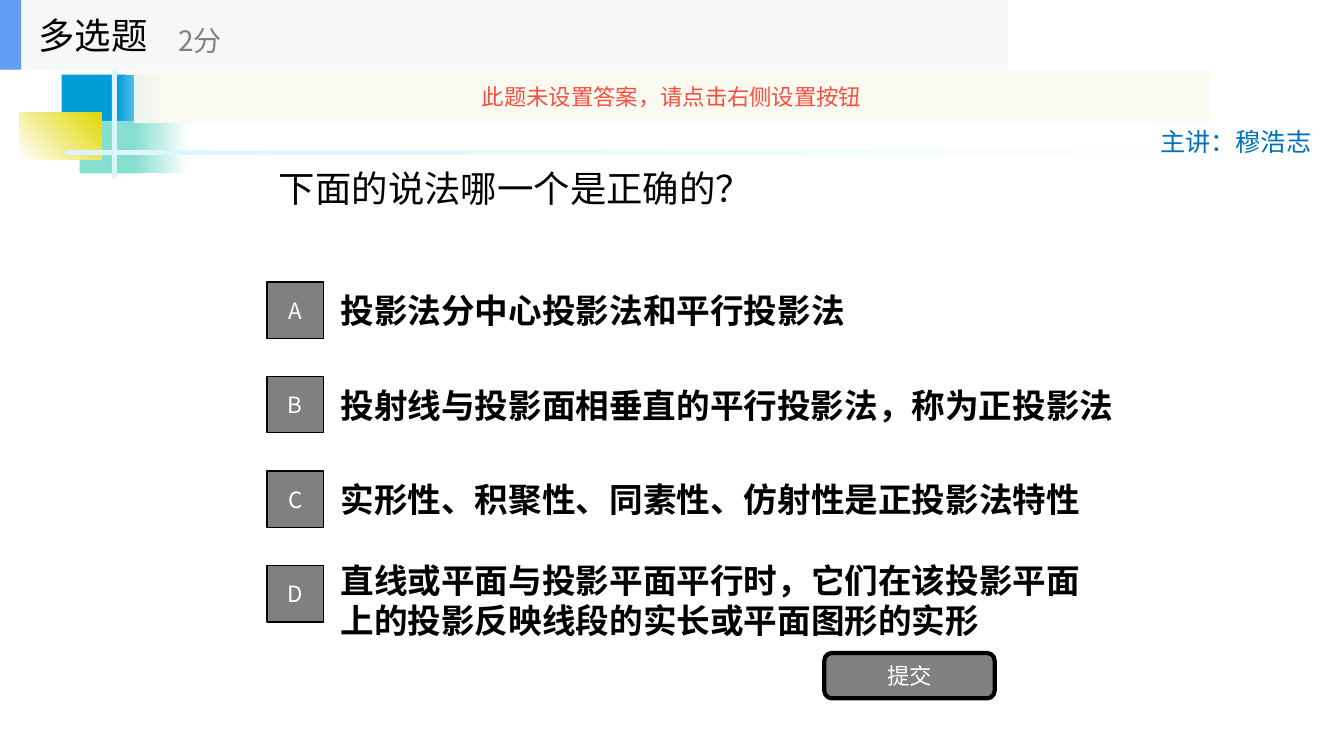
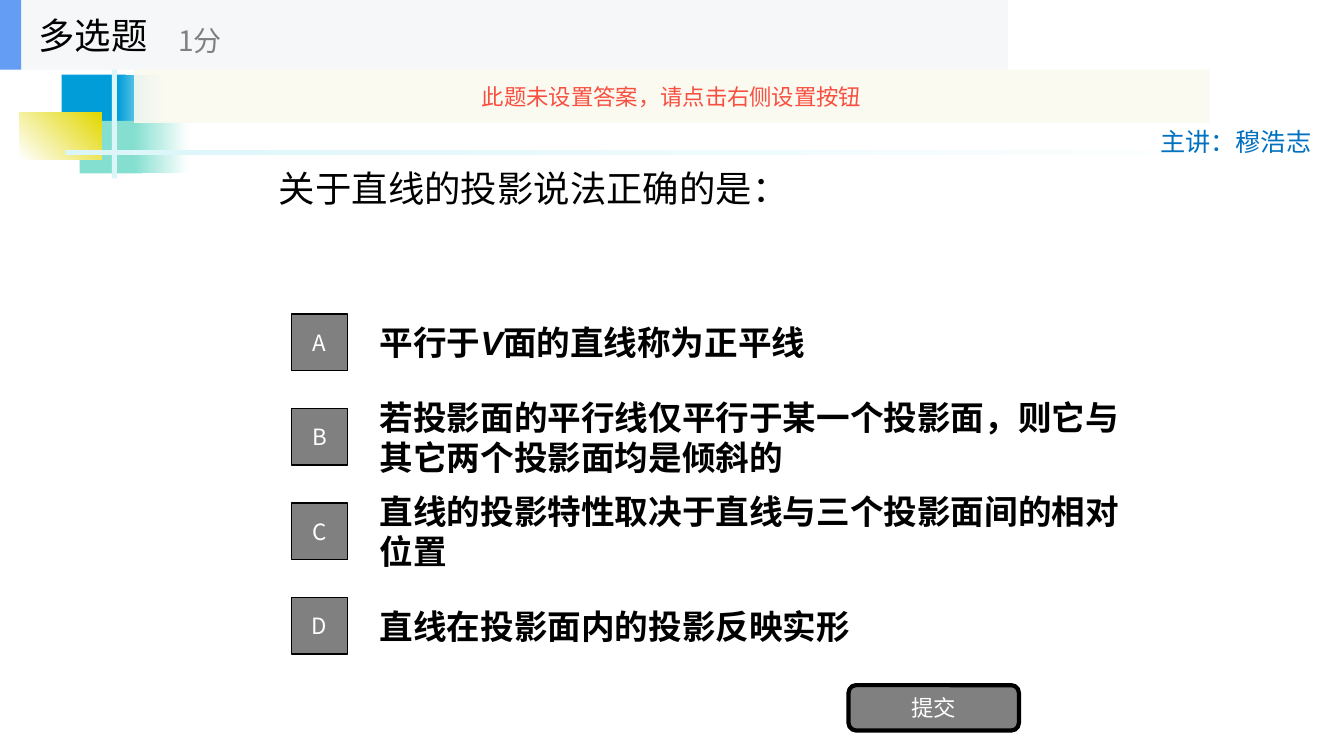
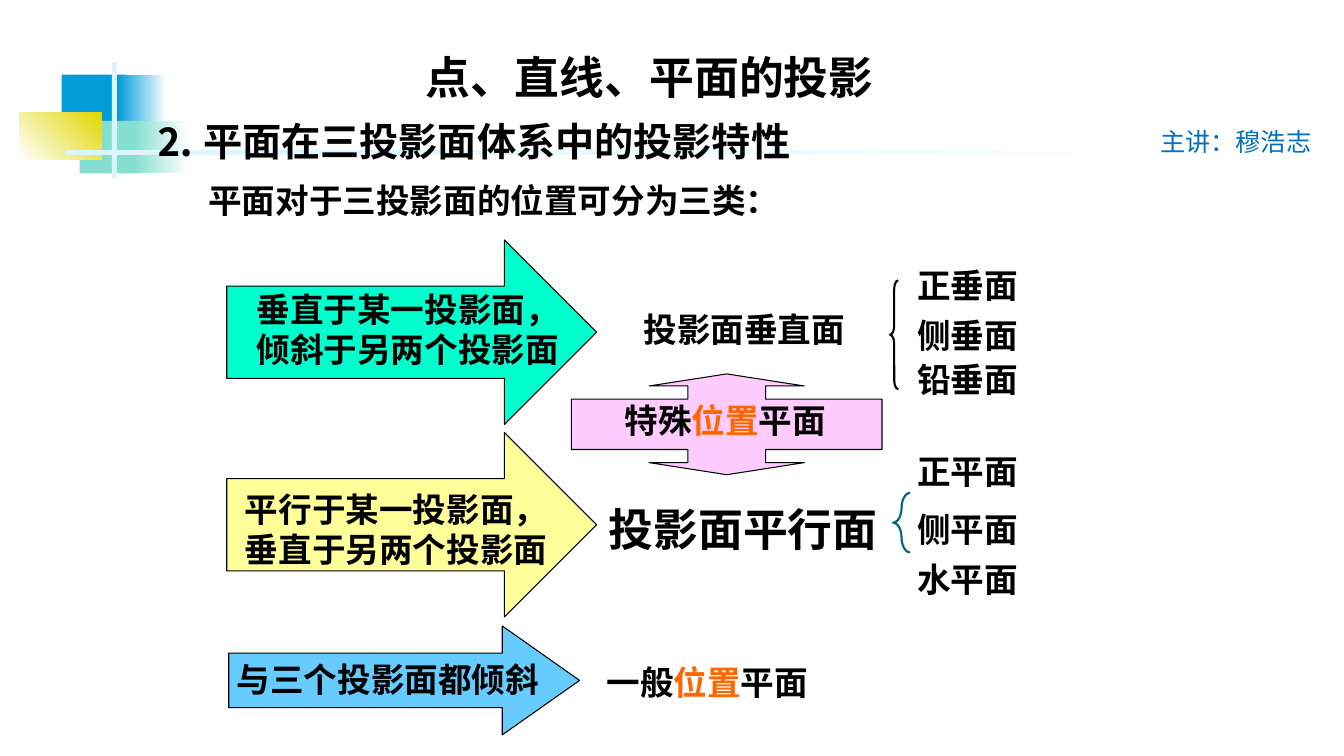
"""Build two quiz slides and one classification slide on plane projection."""
from dataclasses import dataclass
from typing import Any, Optional

import lxml.etree
import pptx
import pptx.dml.color
import pptx.enum.shapes
import pptx.enum.text
import pptx.oxml.ns
import pptx.util

Pt = pptx.util.Pt
Kind = pptx.enum.shapes.MSO_SHAPE
Align = pptx.enum.text.PP_ALIGN
Anchor = pptx.enum.text.MSO_ANCHOR

COLORS = {
    "black": "000000", "white": "FFFFFF", "gray": "808080",
    "blue": "009DD9", "mint": "85DFD0", "gold": "E2D700", "ice": "DBF5F9",
    "lecturer": "0070C0", "header": "F6F7F8", "marker": "639EF4",
    "notice": "FBFAEF", "warning": "F84F41", "accent": "FF6600",
    "sky": "66CCFF", "lemon": "FFFF99", "aqua": "00FFCC", "pink": "FFCCFF",
    "teal": "04617B",
}
SANS, ARIAL, TIMES = "Noto Sans CJK SC", "Arial", "Times New Roman"
OPTION_PITCH = 67.5
OPTION_SIDE = 40.3
OPTION_TEXT_HEIGHT = 50.4


@dataclass(frozen=True)
class Box:
    left: float
    top: float
    width: float
    height: float

    def lengths(self) -> tuple[Any, ...]:
        return Pt(self.left), Pt(self.top), Pt(self.width), Pt(self.height)


@dataclass(frozen=True)
class Style:
    size: float
    font: str = SANS
    color: str = "black"
    bold: bool = False
    italic: bool = False
    align: Any = Align.LEFT


@dataclass(frozen=True)
class Label:
    box: Box
    text: str
    style: Style
    emphasis: str = ""
    emphasis_style: Optional[Style] = None


@dataclass(frozen=True)
class Figure:
    box: Box
    fill: Optional[str] = None
    kind: Any = Kind.RECTANGLE
    line: str = ""
    line_width: float = 0.75
    fade: str = ""
    angle: float = 0
    adjustments: tuple[float, ...] = ()


@dataclass(frozen=True)
class Option:
    text: str
    emphasis: str = ""
    width: float = 550.8
    drop: float = 0
    font: str = ARIAL


@dataclass(frozen=True)
class Quiz:
    score: str
    question: str
    left: float
    top: float
    text_left: float
    options: tuple[Option, ...]


BACKDROP = (
    Figure(Box(44, 53.3, 46, 37.5), "blue"),
    Figure(Box(84.2, 53.3, 34.6, 37.5), "blue", fade="white"),
    Figure(Box(56.9, 86.4, 44.6, 37.5), "mint"),
    Figure(Box(95.8, 86.4, 38.9, 37.5), "mint", fade="white"),
    Figure(Box(13.7, 80.6, 59, 33.1), "white", fade="gold", angle=45),
    Figure(Box(79.9, 44.6, 3.6, 82.8), "ice"),
    Figure(Box(46.8, 107.3, 864, 3.6), "ice", fade="white"),
)
LECTURER = Label(Box(821.5, 86.4, 131, 28.8), "主讲：穆浩志", Style(18, color="lecturer"))

QUIZZES = (
    Quiz("2分", "下面的说法哪一个是正确的？", 190.8, 201.4, 236.2, (
        Option("投影法分中心投影法和平行投影法"),
        Option("投射线与投影面相垂直的平行投影法，称为正投影法", width=576),
        Option("实形性、积聚性、同素性、仿射性是正投影法特性"),
        Option("直线或平面与投影平面平行时，它们在该投影平面上的投影反映线段的实长或平面图形的实形",
               drop=4.5),
    )),
    Quiz("1分", "关于直线的投影说法正确的是：", 208.1, 224.4, 264.2, (
        Option("平行于V面的直线称为正平线", emphasis="V"),
        Option("若投影面的平行线仅平行于某一个投影面，则它与其它两个投影面均是倾斜的"),
        Option("直线的投影特性取决于直线与三个投影面间的相对位置", font=SANS),
        Option("直线在投影面内的投影反映实形"),
    )),
)

BODY = Style(24, TIMES, bold=True)
CENTERED = Style(24, TIMES, bold=True, align=Align.CENTER)
ACCENT = Style(24, TIMES, "accent", bold=True)

CLASS_FIGURES = (
    Figure(Box(163.4, 447.1, 250.6, 77.8), "sky", Kind.RIGHT_ARROW, "black",
           adjustments=(0.5, 0.71)),
    Figure(Box(162, 308.9, 264.2, 131.8), "lemon", Kind.RIGHT_ARROW, "black"),
    Figure(Box(162, 171.4, 264.2, 131.8), "aqua", Kind.RIGHT_ARROW, "black"),
    Figure(Box(408.2, 267.1, 221.8, 72), "pink", Kind.UP_DOWN_ARROW_CALLOUT, "black",
           adjustments=(0.77, 0.77, 0.12, 0.5)),
    Figure(Box(635.8, 200.2, 5.8, 77.8), None, Kind.LEFT_BRACE, "black", 1.5,
           adjustments=(1.08, 0.5)),
    Figure(Box(637.9, 352.1, 12.2, 42.5), None, Kind.LEFT_BRACE, "teal", 1.5,
           adjustments=(1.17, 0.5)),
)
CLASS_LABELS = (
    Label(Box(103.7, 79.9, 483.1, 41), "⒉ 平面在三投影面体系中的投影特性", Style(28, bold=True)),
    Label(Box(141.8, 124.6, 568.8, 36), "平面对于三投影面的位置可分为三类：", Style(24, bold=True)),
    Label(Box(451.4, 217.4, 160.6, 36), "投影面垂直面", CENTERED),
    Label(Box(427.7, 355, 216, 45.4), "投影面平行面", Style(32, TIMES, bold=True)),
    Label(Box(426.2, 469.4, 160.6, 36), "一般位置平面", BODY, "位置", ACCENT),
    Label(Box(437.8, 281.5, 160.6, 36.7), "特殊位置平面", CENTERED, "位置", ACCENT),
    Label(Box(174.2, 202.3, 234, 65.5), "垂直于某一投影面，倾斜于另两个投影面", CENTERED),
    Label(Box(167.8, 344.9, 270, 65.5), "平行于某一投影面，\n垂直于另两个投影面", BODY),
    Label(Box(162, 467.3, 232.6, 36), "与三个投影面都倾斜", BODY),
)
PLANE_NAMES = (
    ("正垂面", 185), ("侧垂面", 221), ("铅垂面", 252.7),
    ("正平面", 318.2), ("侧平面", 359.3), ("水平面", 395.3),
)


def rgb(name: str) -> pptx.dml.color.RGBColor:
    return pptx.dml.color.RGBColor.from_string(COLORS[name])


def format_run(run: Any, style: Style) -> None:
    run.font.size = Pt(style.size)
    run.font.name = style.font
    run.font.bold = style.bold
    run.font.italic = style.italic
    run.font.color.rgb = rgb(style.color)
    east_asian = lxml.etree.SubElement(run._r.get_or_add_rPr(), pptx.oxml.ns.qn("a:ea"))
    east_asian.set("typeface", SANS)


def write(shape: Any, label: Label) -> None:
    frame = shape.text_frame
    frame.word_wrap = True
    frame.auto_size = pptx.enum.text.MSO_AUTO_SIZE.NONE
    frame.vertical_anchor = Anchor.MIDDLE
    frame.text = label.text
    for paragraph in frame.paragraphs:
        paragraph.alignment = label.style.align
        if label.emphasis:
            before, marked, after = paragraph.text.partition(label.emphasis)
            paragraph.text = before
            for piece in (marked, after):
                paragraph.add_run().text = piece
        for run in paragraph.runs:
            marked_run = label.emphasis and run.text == label.emphasis
            format_run(run, label.emphasis_style if marked_run else label.style)


def add_label(slide: Any, label: Label) -> Any:
    textbox = slide.shapes.add_textbox(*label.box.lengths())
    write(textbox, label)
    return textbox


def set_title(slide: Any, label: Label) -> None:
    title = slide.shapes.title
    title.left, title.top, title.width, title.height = label.box.lengths()
    write(title, label)


def add_figure(slide: Any, figure: Figure) -> Any:
    shape = slide.shapes.add_shape(figure.kind, *figure.box.lengths())
    shape.shadow.inherit = False
    for index, value in enumerate(figure.adjustments):
        shape.adjustments[index] = value
    if figure.fill is None:
        shape.fill.background()
    elif figure.fade:
        shape.fill.gradient()
        shape.fill.gradient_angle = figure.angle
        for stop, name in zip(shape.fill.gradient_stops, (figure.fill, figure.fade)):
            stop.color.rgb = rgb(name)
    else:
        shape.fill.solid()
        shape.fill.fore_color.rgb = rgb(figure.fill)
    if figure.line:
        shape.line.color.rgb = rgb(figure.line)
        shape.line.width = Pt(figure.line_width)
    else:
        shape.line.fill.background()
    return shape


def move_backdrop_to_layout(slide: Any) -> None:
    parts = [add_figure(slide, figure) for figure in BACKDROP]
    parts.append(add_label(slide, LECTURER))
    for number, part in enumerate(parts, start=100):
        part.element.nvSpPr.cNvPr.id = number
        slide.slide_layout.shapes.element.append(part.element)


def add_quiz_header(slide: Any, score: str) -> None:
    add_figure(slide, Figure(Box(0, 0, 720, 49.7), "header"))
    add_figure(slide, Figure(Box(0, 0, 15.1, 49.7), "marker"))
    add_label(slide, Label(Box(20.2, 0, 149.8, 49.7), "多选题", Style(26)))
    add_label(slide, Label(Box(120.2, 8.6, 180, 40.3), score, Style(20, color="gray")))
    box = Box(95.8, 49.7, 768.2, 38.2)
    notice = add_figure(slide, Figure(box, "notice"))
    solid = notice.element.spPr.find(pptx.oxml.ns.qn("a:solidFill"))
    lxml.etree.SubElement(solid[0], pptx.oxml.ns.qn("a:alpha")).set("val", "90000")
    write(notice, Label(box, "此题未设置答案，请点击右侧设置按钮",
                        Style(16, color="warning", align=Align.CENTER)))


def fill_quiz(slide: Any, quiz: Quiz) -> None:
    set_title(slide, Label(Box(192, 49.7, 576, 168.5), quiz.question, Style(26)))
    button_style = Style(16, color="white", align=Align.CENTER)
    for index, option in enumerate(quiz.options):
        top = quiz.top + index * OPTION_PITCH
        text_top = top + (OPTION_SIDE - OPTION_TEXT_HEIGHT) / 2 + option.drop
        add_label(slide, Label(
            Box(quiz.text_left, text_top, option.width, OPTION_TEXT_HEIGHT), option.text,
            Style(24, option.font, bold=True), option.emphasis,
            Style(24, option.font, bold=True, italic=True)))
        box = Box(quiz.left, top, OPTION_SIDE, OPTION_SIDE)
        letter = add_figure(slide, Figure(box, "gray", line="black", line_width=1))
        write(letter, Label(box, "ABCD"[index], button_style))
    box = Box(quiz.left + 398, quiz.top + 265, 121.7, 32.4)
    submit = add_figure(slide, Figure(box, "gray", Kind.ROUNDED_RECTANGLE, "black", 3))
    write(submit, Label(box, "提交", button_style))
    add_quiz_header(slide, quiz.score)


def fill_classification(slide: Any) -> None:
    set_title(slide, Label(Box(244.8, 31.7, 438.5, 45.4), "点、直线、平面的投影",
                           Style(32, bold=True, align=Align.CENTER)))
    for figure in CLASS_FIGURES:
        add_figure(slide, figure)
    for label in CLASS_LABELS:
        add_label(slide, label)
    for name, top in PLANE_NAMES:
        add_label(slide, Label(Box(648, top, 100, 36.7), name, BODY))


def main() -> None:
    deck = pptx.Presentation()
    deck.slide_width, deck.slide_height = Pt(960), Pt(540)
    title_only = deck.slide_layouts[5]
    slides = [deck.slides.add_slide(title_only) for _ in range(3)]
    move_backdrop_to_layout(slides[0])
    for slide, quiz in zip(slides, QUIZZES):
        fill_quiz(slide, quiz)
    fill_classification(slides[2])
    deck.save("out.pptx")


if __name__ == "__main__":
    main()
